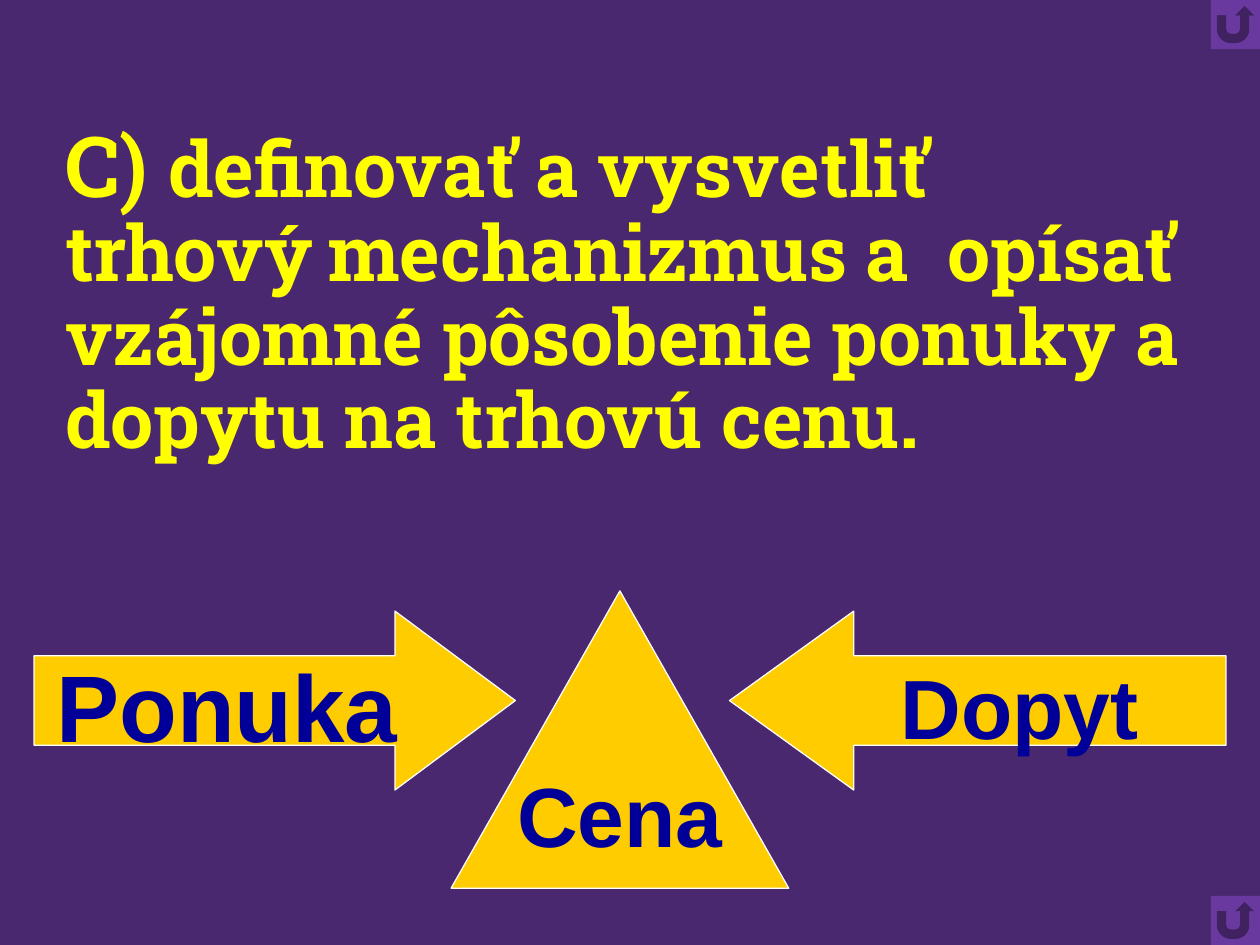
from lxml import etree
from pptx import Presentation
from pptx.dml.color import RGBColor
from pptx.enum.shapes import MSO_SHAPE
from pptx.enum.text import MSO_ANCHOR, PP_ALIGN
from pptx.oxml.ns import qn
from pptx.util import Inches, Pt

PURPLE = RGBColor(0x4A, 0x28, 0x70)
VIOLET = RGBColor(0x6A, 0x39, 0x9F)
YELLOW = RGBColor(0xFF, 0xFF, 0x00)
GOLD = RGBColor(0xFF, 0xCC, 0x00)
NAVY = RGBColor(0x00, 0x00, 0x99)
WHITE = RGBColor(0xFF, 0xFF, 0xFF)

ARROW = MSO_SHAPE.RIGHT_ARROW
TRIANGLE = MSO_SHAPE.ISOSCELES_TRIANGLE
RETURN_BUTTON = MSO_SHAPE.ACTION_BUTTON_RETURN
LEFT, CENTER = PP_ALIGN.LEFT, PP_ALIGN.CENTER
TOP, MIDDLE = MSO_ANCHOR.TOP, MSO_ANCHOR.MIDDLE

SLIDE_W, SLIDE_H = 10, 7.5
BUTTON = 0.39


def write(holder, *runs, font="Arial", color=NAVY, align=LEFT, anchor=TOP,
          top=0.05, wrap=True, spacing=None, indent=0, tab=None):
    """Fill a shape with one paragraph of (text, size) runs; lengths in inches."""
    frame = holder.text_frame
    frame.word_wrap = wrap
    frame.vertical_anchor = anchor
    frame.margin_top = Inches(top)
    paragraph = frame.paragraphs[0]
    paragraph.alignment = align
    if spacing:
        paragraph.line_spacing = spacing
    properties = paragraph._p.get_or_add_pPr()
    properties.set("marL", str(Inches(indent)))
    properties.set("indent", "0")
    if tab:
        stops = etree.SubElement(properties, qn("a:tabLst"))
        etree.SubElement(stops, qn("a:tab"), pos=str(Inches(tab)), algn="l")
    for text, size in runs:
        # A vertical tab in the text stands for a line break.
        for number, line in enumerate(text.split("\v")):
            if number:
                paragraph.add_line_break()
            run = paragraph.add_run()
            run.text = line
            run.font.name = font
            run.font.size = Pt(size)
            run.font.bold = True
            run.font.color.rgb = color


def add_text(slide, box, *runs, **style):
    write(slide.shapes.add_textbox(*map(Inches, box)), *runs, **style)


def add_filled(slide, kind, box, fill, line=None):
    shape = slide.shapes.add_shape(kind, *map(Inches, box))
    shape.shadow.inherit = False
    shape.fill.solid()
    shape.fill.fore_color.rgb = fill
    if line is None:
        shape.line.fill.background()
    else:
        shape.line.color.rgb = line
        shape.line.width = Pt(0.75)
    return shape


def add_goal(slide, box):
    add_text(slide, box, ("C) ", 48),
             ("definovať a vysvetliť \vtrhový mechanizmus a \topísať "
              "vzájomné pôsobenie ponuky a dopytu na trhovú cenu.", 44),
             font="Roboto Slab", color=YELLOW, top=0.86, spacing=0.9,
             indent=0.42, tab=7)


def add_market(slide, box):
    """Supply and demand arrows pressing on the price triangle."""
    left, top, width, height = box
    arrow_top, arrow_h = top + 0.16, 1.42
    supply_w, demand_w = 3.82, 3.94
    demand_left = left + width - demand_w

    supply = add_filled(slide, ARROW, (left, arrow_top, supply_w, arrow_h), GOLD, WHITE)
    supply.adjustments[1] = 0.673
    demand = add_filled(slide, ARROW, (demand_left, arrow_top, demand_w, arrow_h), GOLD, WHITE)
    demand.adjustments[1] = 0.694
    demand.rotation = 180

    add_text(slide, (left + 0.08, arrow_top + 0.16, supply_w, 1.1),
             ("Ponuka", 54), top=0.13)
    add_text(slide, (demand_left + 1.26, arrow_top + 0.24, 2.44, 0.9),
             ("Dopyt", 48), top=0.11)

    price = add_filled(slide, TRIANGLE, (left + 3.31, top, 2.68, height), GOLD, WHITE)
    write(price, ("Cena", 48), align=CENTER, anchor=MIDDLE, wrap=False)


def add_return_buttons(slide):
    for top in (0, SLIDE_H - BUTTON):
        add_filled(slide, RETURN_BUTTON, (SLIDE_W - BUTTON, top, BUTTON, BUTTON), VIOLET)


def main():
    deck = Presentation()
    deck.slide_width, deck.slide_height = Inches(SLIDE_W), Inches(SLIDE_H)
    slide = deck.slides.add_slide(deck.slide_layouts[6])
    slide.background.fill.solid()
    slide.background.fill.fore_color.rgb = PURPLE
    add_goal(slide, (0, 0.13, SLIDE_W, 4.92))
    add_market(slide, (0.27, 4.69, 9.46, 2.36))
    add_return_buttons(slide)
    deck.save("out.pptx")


if __name__ == "__main__":
    main()
